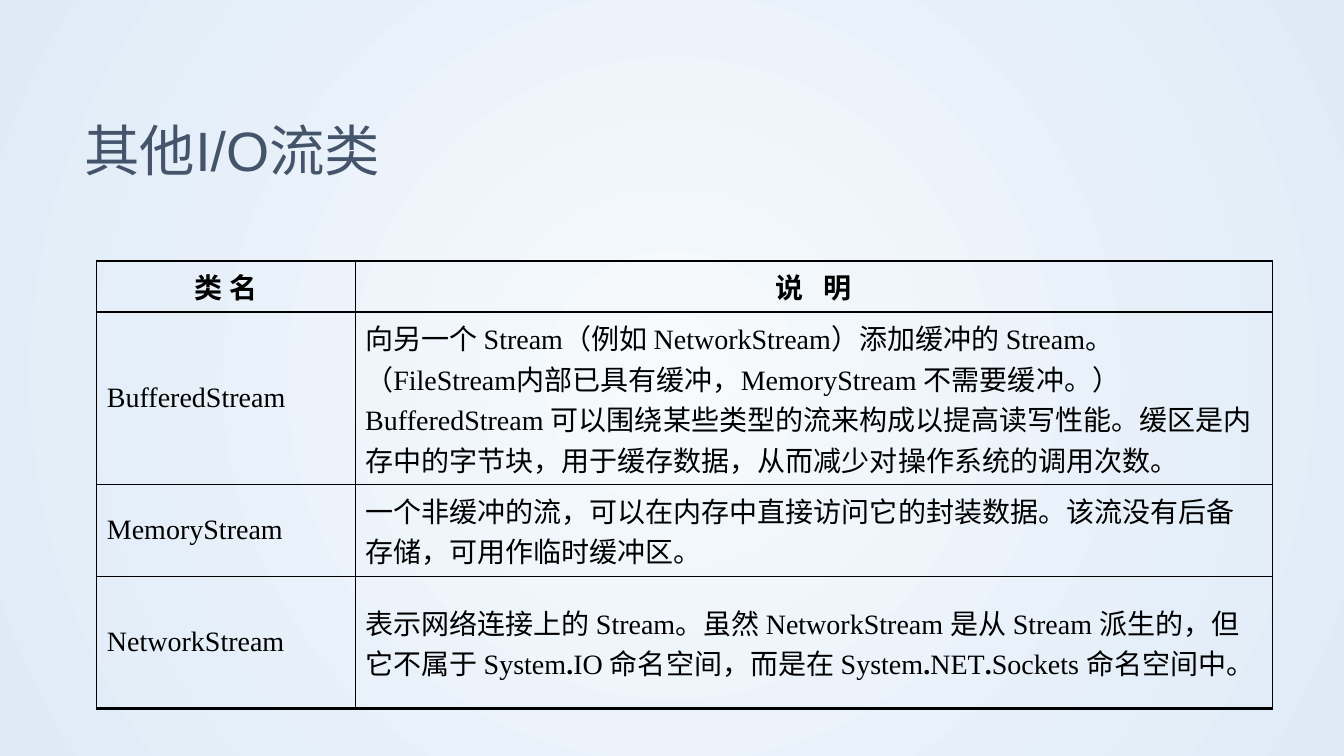
from lxml import etree
from pptx import Presentation
from pptx import util as u
from pptx.dml import color
from pptx.enum import text
from pptx.oxml import ns

COLORS = {"title": "44546A", "ink": "000000", "centre": "F7FAFD", "edge": "DEEBF7"}

COLUMN_WIDTHS = [6.51, 23.11]
ROW_HEIGHTS = [1.28, 4.35, 2.31, 3.33]
HEADINGS = ["类 名", "说 明"]
STREAMS = [
    ("BufferedStream",
     "向另一个 Stream（例如 NetworkStream）添加缓冲的 Stream。"
     "（FileStream内部已具有缓冲，MemoryStream 不需要缓冲。）"
     "BufferedStream 可以围绕某些类型的流来构成以提高读写性能。"
     "缓区是内存中的字节块，用于缓存数据，从而减少对操作系统的调用次数。"),
    ("MemoryStream",
     "一个非缓冲的流，可以在内存中直接访问它的封装数据。"
     "该流没有后备存储，可用作临时缓冲区。"),
    ("NetworkStream",
     "表示网络连接上的 Stream。虽然 NetworkStream 是从 Stream 派生的，"
     "但它不属于 System.IO 命名空间，而是在 System.NET.Sockets 命名空间中。"),
]


def rgb(name):
    return color.RGBColor.from_string(COLORS[name])


def add_span(para, words, size, font, ink, bold=False):
    span = para.add_run()
    span.text = words
    span.font.size = u.Pt(size)
    span.font.name = font
    span.font.bold = bold
    span.font.color.rgb = rgb(ink)
    return span


def paint_background(page):
    fill = page.background.fill
    fill.gradient()
    for stop, name in zip(fill.gradient_stops, ["centre", "edge"]):
        stop.color.rgb = rgb(name)
    # Turn the linear gradient into a circle around the middle
    linear = page.background._cSld.find(".//" + ns.qn("a:lin"))
    circle = etree.Element(ns.qn("a:path"), path="circle")
    etree.SubElement(circle, ns.qn("a:fillToRect"),
                     {side: "50000" for side in "ltrb"})
    linear.getparent().replace(linear, circle)


def add_title(page, words):
    box = page.shapes.add_textbox(u.Cm(1.88), u.Cm(2.95), u.Cm(26.57), u.Cm(1.65))
    frame = box.text_frame
    frame.word_wrap = True
    frame.vertical_anchor = text.MSO_ANCHOR.MIDDLE
    add_span(frame.paragraphs[0], words, 39.6, "Arial", "title")


def set_borders(cell, widths):
    """Draw the left, right, top and bottom lines, in points."""
    properties = cell._tc.get_or_add_tcPr()
    for side, width in zip("LRTB", widths):
        line = etree.SubElement(properties, ns.qn("a:ln" + side), w=str(u.Pt(width)))
        solid = etree.SubElement(line, ns.qn("a:solidFill"))
        etree.SubElement(solid, ns.qn("a:srgbClr"), val=COLORS["ink"])


def fill_heading(para, words):
    para.alignment = text.PP_ALIGN.CENTER
    first, last = words.split(" ")
    for part in (first, " ", last):
        span = add_span(para, part, 20, "Times New Roman", "ink", True)
        if part == " " and words == HEADINGS[1]:
            span.font._element.set("spc", "1000")  # wider gap in the second heading


def fill_body(para, words):
    # Dots in namespace names are bold
    for index, part in enumerate(words.split(".")):
        if index:
            add_span(para, ".", 20, "Times New Roman", "ink", True)
        add_span(para, part, 20, "Times New Roman", "ink")


def add_stream_table(page):
    rows = [HEADINGS, *STREAMS]
    frame = page.shapes.add_table(
        len(rows), len(HEADINGS), u.Cm(2.44), u.Cm(6.58),
        u.Cm(sum(COLUMN_WIDTHS)), u.Cm(sum(ROW_HEIGHTS)))
    table = frame.table
    table.first_row = table.horz_banding = False
    for column, width in zip(table.columns, COLUMN_WIDTHS):
        column.width = u.Cm(width)
    for row, height in zip(table.rows, ROW_HEIGHTS):
        row.height = u.Cm(height)

    # Line widths along each row and column edge
    across = [2, 2, 1, 1, 2]
    down = [0.75, 1, 0.75]
    for r, row in enumerate(rows):
        for c, words in enumerate(row):
            cell = table.cell(r, c)
            cell.vertical_anchor = text.MSO_ANCHOR.MIDDLE
            set_borders(cell, [down[c], down[c + 1], across[r], across[r + 1]])
            cell.fill.background()
            write = fill_body if r else fill_heading
            write(cell.text_frame.paragraphs[0], words)


def main():
    deck = Presentation()
    deck.slide_width, deck.slide_height = u.Cm(33.87), u.Cm(19.05)
    page = deck.slides.add_slide(deck.slide_layouts[6])
    paint_background(page)
    add_title(page, "其他I/O流类")
    add_stream_table(page)
    deck.save("out.pptx")


if __name__ == "__main__":
    main()
